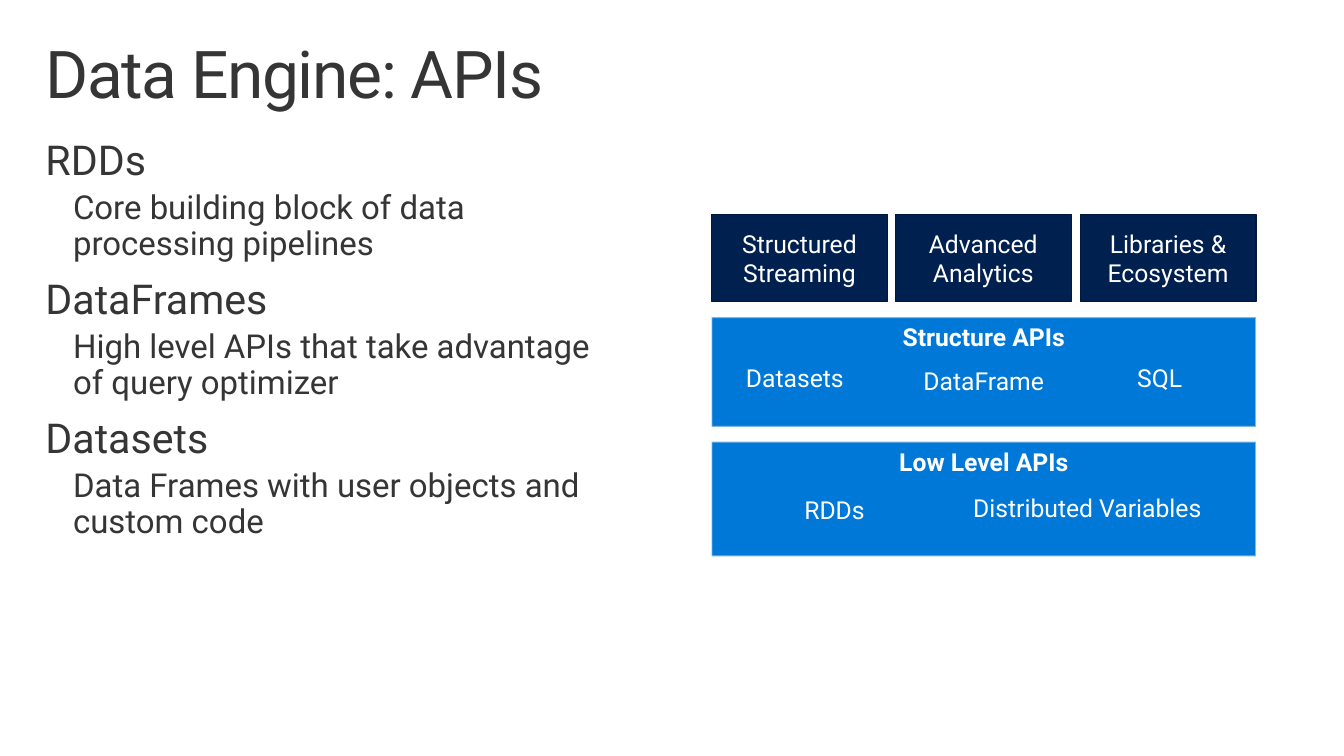
from lxml.etree import SubElement
from pptx import Presentation
from pptx.dml.color import RGBColor
from pptx.enum.shapes import MSO_SHAPE as Shape
from pptx.enum.text import MSO_ANCHOR as Anchor, PP_ALIGN as Align
from pptx.oxml.ns import qn
from pptx.util import Pt

PX = 9144  # EMU per px, 100 px to the inch
FONT = "Roboto"
INK = RGBColor(0x35, 0x35, 0x35)
WHITE = RGBColor(0xFF, 0xFF, 0xFF)
NAVY = RGBColor(0x00, 0x20, 0x50)
NAVY_EDGE = RGBColor(0x00, 0x18, 0x3B)
BLUE = RGBColor(0x00, 0x78, 0xD7)
PALE_EDGE = RGBColor(0xF9, 0xF9, 0xF9)

WIDE_MARGINS = {"margin_left": 16 * PX, "margin_right": 16 * PX,
                "margin_top": 10 * PX, "margin_bottom": 10 * PX}
TOPIC = {"line_spacing": 0.9, "space_before": Pt(12.2)}
DETAIL = {"line_spacing": 0.9, "space_before": Pt(4.8)}
CENTERED = {"alignment": Align.CENTER}

TOPICS = [
    ("RDDs", "Core building block of data processing pipelines"),
    ("DataFrames", "High level APIs that take advantage of query optimizer"),
    ("Datasets", "Data Frames with user objects and custom code"),
]
TOP_BLOCKS = ["Structured Streaming", "Advanced Analytics", "Libraries & Ecosystem"]
LAYERS = [("Structure APIs", 321, 111), ("Low Level APIs", 447, 116)]
LAYER_ITEMS = [
    ("Datasets", 745, 362, 131, Align.LEFT),
    ("DataFrame", 921, 365, 149, Align.CENTER),
    ("SQL", 1141, 362, 97, Align.LEFT),
    ("RDDs", 804, 496, 99, Align.LEFT),
    ("Distributed Variables", 975, 494, 263, Align.LEFT),
]
STACK_LEFT, STACK_WIDTH = 720, 551
BLOCK_WIDTH = 178


def apply(target, formats):
    for name, value in formats.items():
        setattr(target, name, value)


def write(para, text, size, color, bold=False, **formats):
    apply(para, formats)
    span = para.add_run()
    span.text = text
    apply(span.font, {"name": FONT, "size": Pt(size), "bold": bold})
    span.font.color.rgb = color
    return span


def add_text_box(page, left, top, width, height, **formats):
    box = page.shapes.add_textbox(left * PX, top * PX, width * PX, height * PX)
    apply(box.text_frame, {"word_wrap": True, **formats})
    return box.text_frame


def add_block(page, text, left, top, width, height, fill, edge, edge_width,
              anchor, bold=False):
    block = page.shapes.add_shape(Shape.RECTANGLE, left * PX, top * PX,
                                  width * PX, height * PX)
    block.shadow.inherit = False
    block.fill.solid()
    block.fill.fore_color.rgb = fill
    block.line.color.rgb = edge
    block.line.width = Pt(edge_width)
    apply(block.text_frame, {"word_wrap": True, "vertical_anchor": anchor})
    write(block.text_frame.paragraphs[0], text, 18, WHITE, bold, **CENTERED)
    return block


def soften_edge(block):
    color = block.line._ln.find(".//" + qn("a:srgbClr"))
    SubElement(color, qn("a:alpha"), val="50000")


def add_title(page, text):
    frame = add_text_box(page, 30, 32, 1300, 100, **WIDE_MARGINS)
    span = write(frame.paragraphs[0], text, 48, INK, line_spacing=0.9)
    span.font._element.set("spc", "-100")


def add_topics(page):
    frame = add_text_box(page, 30, 132, 600, 495, **WIDE_MARGINS)
    for index, (topic, detail) in enumerate(TOPICS):
        para = frame.add_paragraph() if index else frame.paragraphs[0]
        write(para, topic, 30, INK, **TOPIC)
        para = frame.add_paragraph()
        write(para, detail, 24, INK, level=1, **DETAIL)
        indent = para._p.get_or_add_pPr()
        indent.set("marL", str(28 * PX))
        indent.set("indent", "0")


def add_api_stack(page):
    # Top row, spread evenly over the stack width
    step = (STACK_WIDTH - BLOCK_WIDTH) / (len(TOP_BLOCKS) - 1)
    for column, name in enumerate(TOP_BLOCKS):
        add_block(page, name, round(STACK_LEFT + column * step), 217, BLOCK_WIDTH,
                  88, NAVY, NAVY_EDGE, 0.85, Anchor.MIDDLE)

    # API layers
    for name, top, height in LAYERS:
        layer = add_block(page, name, STACK_LEFT, top, STACK_WIDTH, height,
                          BLUE, PALE_EDGE, 1.35, Anchor.TOP, bold=True)
        soften_edge(layer)

    # Members of each layer
    for name, left, top, width, alignment in LAYER_ITEMS:
        frame = add_text_box(page, left, top, width, 40)
        write(frame.paragraphs[0], name, 18, WHITE, alignment=alignment)


def main():
    deck = Presentation()
    apply(deck, {"slide_width": 1360 * PX, "slide_height": 765 * PX})
    page = deck.slides.add_slide(deck.slide_layouts[6])
    add_title(page, "Data Engine: APIs")
    add_topics(page)
    add_api_stack(page)
    deck.save("out.pptx")


if __name__ == "__main__":
    main()
